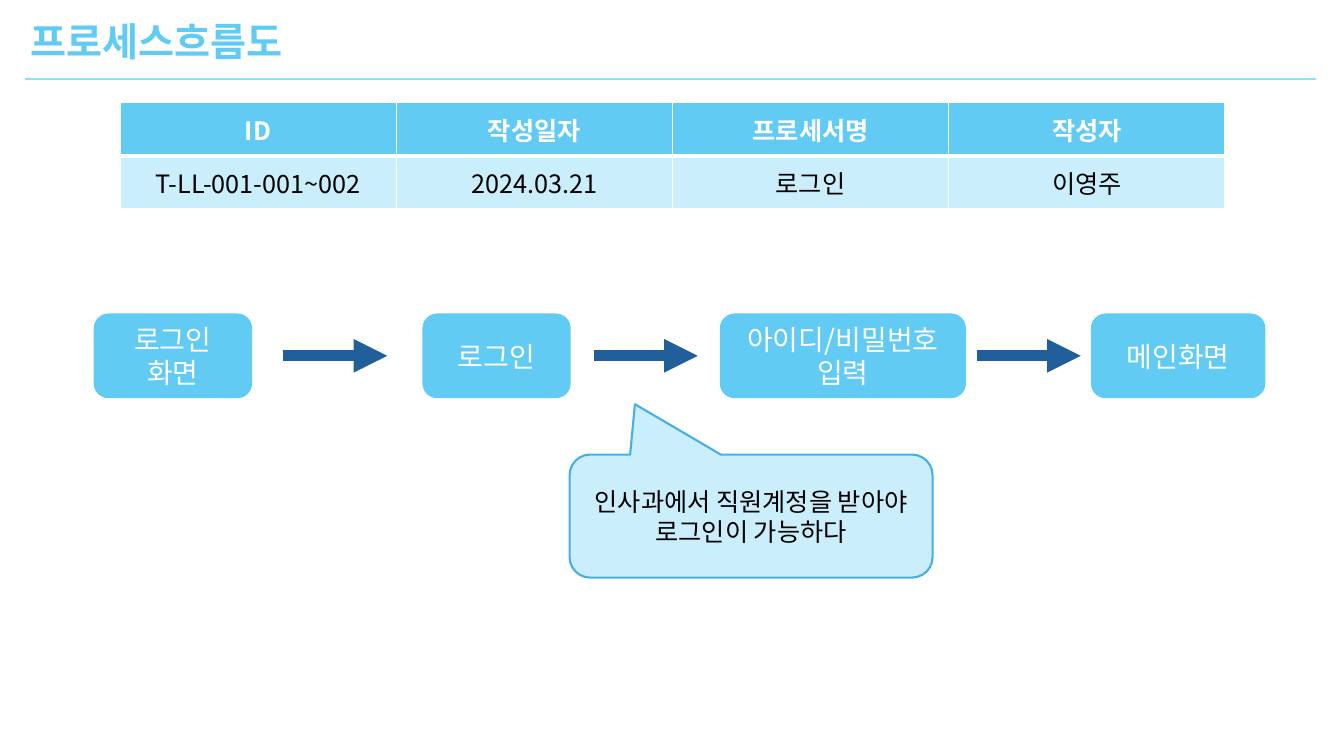
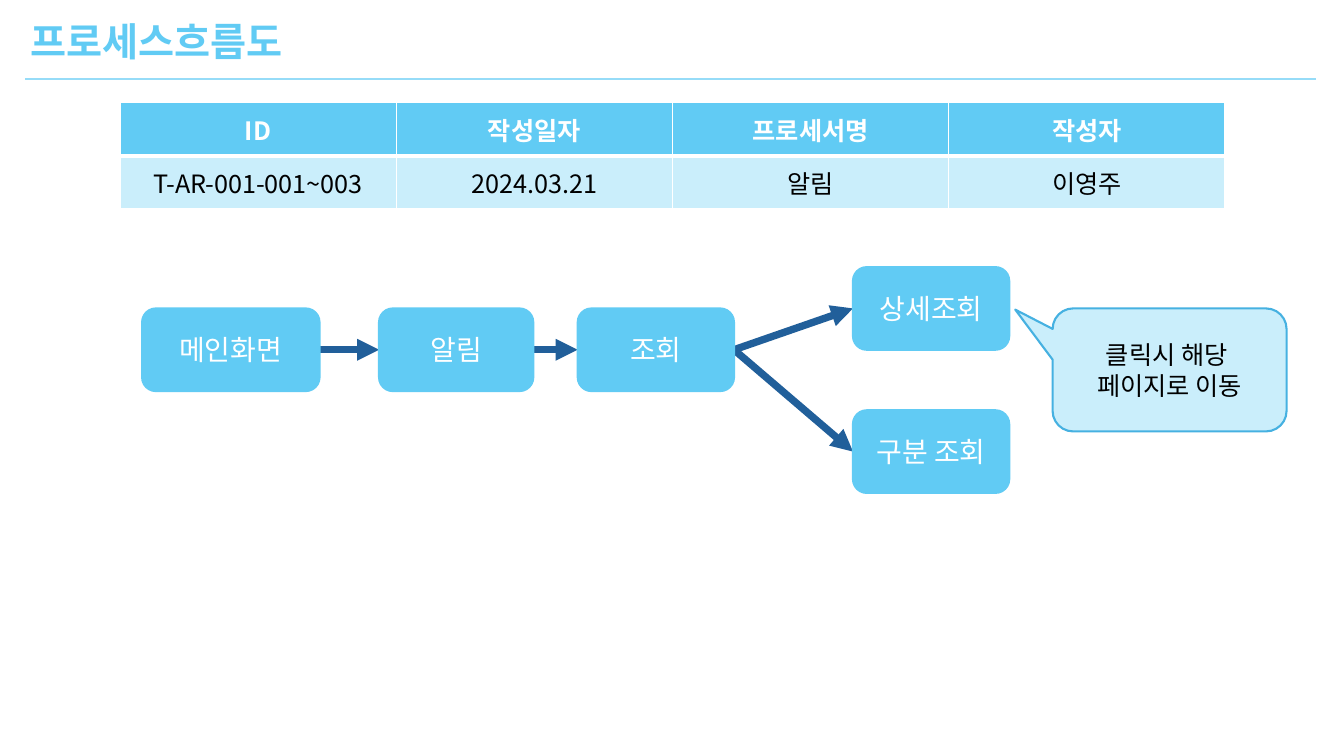
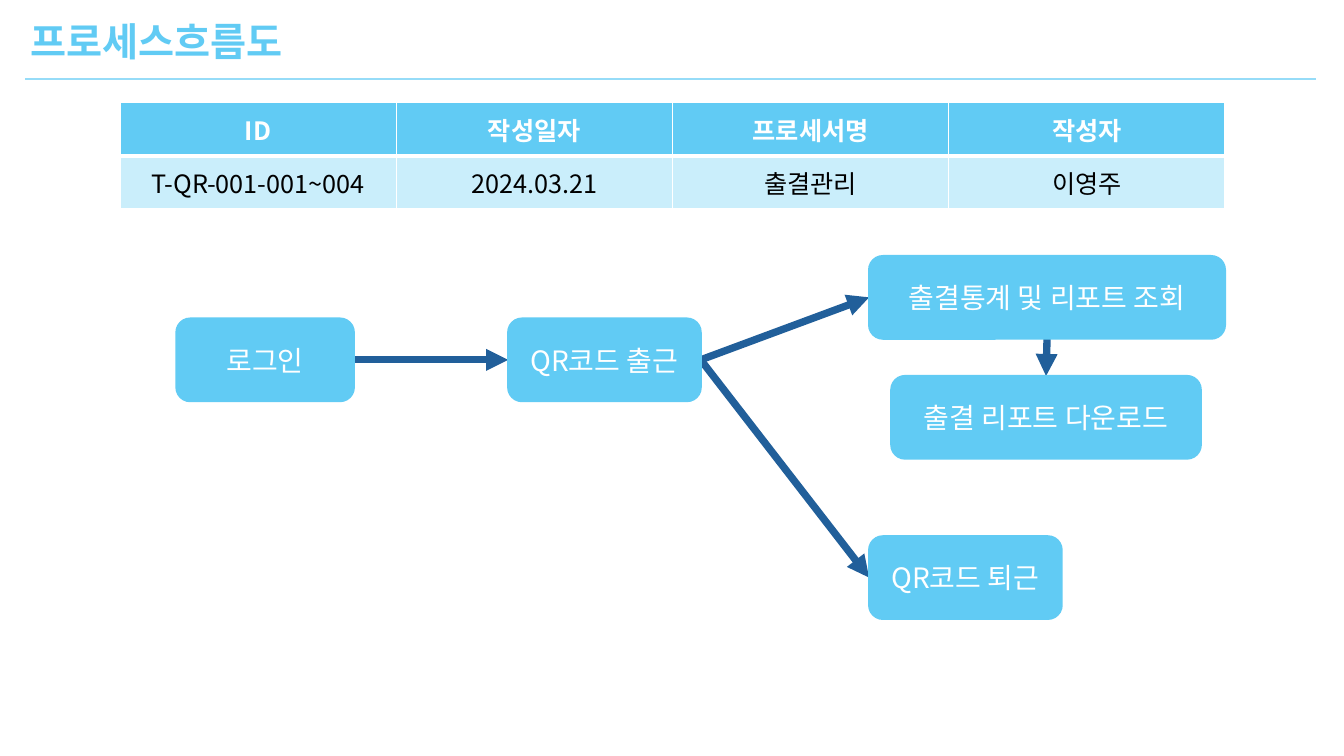
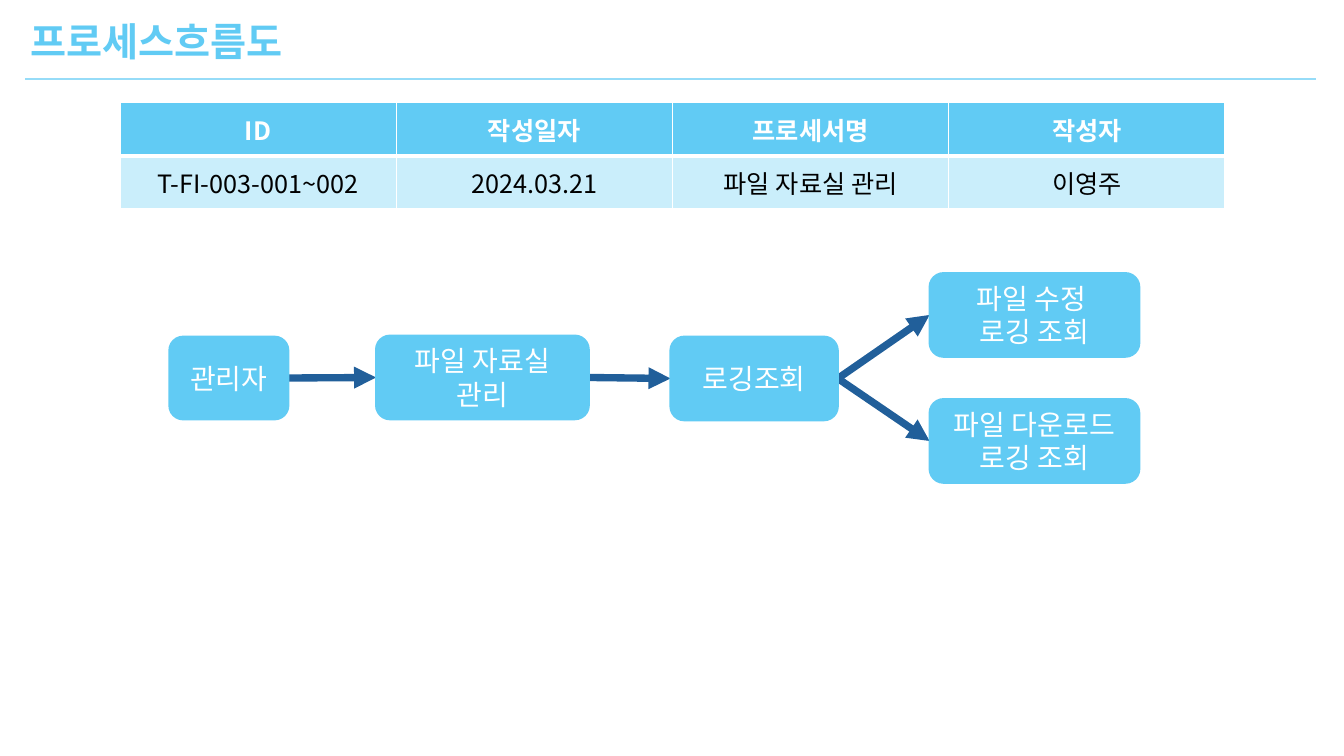
import dataclasses

import lxml.etree
import pptx
import pptx.dml.color
import pptx.enum.shapes
import pptx.enum.text
import pptx.oxml.ns
import pptx.util

EMU_PER_PX = 9144  # 100 px to the inch
FONT = "Noto Sans CJK KR"
COLORS = {
    "sky": "61CBF4",
    "pale": "CAEEFB",
    "rule": "96DCF8",
    "outline": "46B1E1",
    "arrow": "215F9A",
    "white": "FFFFFF",
    "black": "000000",
}
TITLE = "프로세스흐름도"
HEADINGS = ("ID", "작성일자", "프로세서명", "작성자")
WRITTEN_ON, AUTHOR = "2024.03.21", "이영주"
RIGHT_SIDE, LEFT_SIDE, BOTTOM_SIDE, TOP_SIDE = 3, 1, 2, 0
Point = tuple[int, int]


@dataclasses.dataclass(frozen=True)
class Step:
    text: str
    left: int
    top: int
    width: int
    height: int = 82


@dataclasses.dataclass(frozen=True)
class Link:
    """An arrow between two steps, given by their places in the list of steps."""
    source: int
    target: int
    source_side: int = RIGHT_SIDE
    target_side: int = LEFT_SIDE


@dataclasses.dataclass(frozen=True)
class Callout:
    text: str
    left: int
    top: int
    width: int
    tip: tuple[float, float]
    height: int = 122


@dataclasses.dataclass(frozen=True)
class Process:
    code: str
    name: str
    steps: tuple[Step, ...]
    links: tuple[Link, ...] = ()
    free_arrows: tuple[tuple[Point, Point], ...] = ()
    callout: Callout | None = None


PROCESSES = (
    Process(
        "T-LL-001-001~002", "로그인",
        steps=(
            Step("로그인\n화면", 94, 312, 155),
            Step("로그인", 420, 312, 145),
            Step("아이디/비밀번호 입력", 715, 312, 242),
            Step("메인화면", 1083, 312, 171),
        ),
        free_arrows=tuple(((left, 353), (left + 103, 353)) for left in (281, 589, 969)),
        callout=Callout("인사과에서 직원계정을 받아야 로그인이 가능하다", 565, 451, 360, (-0.32, -0.91)),
    ),
    Process(
        "T-AR-001-001~003", "알림",
        steps=(
            Step("메인화면", 141, 306, 176),
            Step("알림", 376, 306, 153),
            Step("조회", 573, 306, 155),
            Step("상세조회", 846, 265, 155),
            Step("구분 조회", 846, 407, 155),
        ),
        links=(Link(0, 1), Link(1, 2), Link(2, 3), Link(2, 4)),
        callout=Callout("클릭시 해당 \n페이지로 이동", 1044, 306, 232, (-0.66, -0.49)),
    ),
    Process(
        "T-QR-001-001~004", "출결관리",
        steps=(
            Step("로그인", 175, 316, 176),
            Step("QR코드 출근", 504, 316, 191),
            Step("출결통계 및 리포트 조회", 862, 254, 353),
            Step("QR코드 퇴근", 862, 532, 191),
            Step("출결 리포트 다운로드", 884, 373, 307),
        ),
        links=(Link(0, 1), Link(1, 2), Link(1, 3), Link(2, 4, BOTTOM_SIDE, TOP_SIDE)),
    ),
    Process(
        "T-FI-003-001~002", "파일 자료실 관리",
        steps=(
            Step("관리자", 168, 334, 118),
            Step("파일 자료실 관리", 373, 333, 211, 83),
            Step("로깅조회", 665, 334, 166, 83),
            Step("파일 수정 \n로깅 조회", 922, 271, 208, 83),
            Step("파일 다운로드 로깅 조회", 922, 396, 208, 83),
        ),
        links=(Link(0, 1), Link(1, 2), Link(2, 3), Link(2, 4)),
    ),
)


def px(length: int) -> pptx.util.Emu:
    return pptx.util.Emu(length * EMU_PER_PX)


def rgb(name: str) -> pptx.dml.color.RGBColor:
    return pptx.dml.color.RGBColor.from_string(COLORS[name])


def add_xml(parent, tag: str, **attributes: str):
    return lxml.etree.SubElement(parent, pptx.oxml.ns.qn(tag), attributes)


def write_text(frame, text: str, *, size: int, color: str, bold: bool = False,
               align=pptx.enum.text.PP_ALIGN.CENTER) -> None:
    """Write one paragraph for each line of the text, centred vertically."""
    frame.vertical_anchor = pptx.enum.text.MSO_ANCHOR.MIDDLE
    for index, line in enumerate(text.split("\n")):
        para = frame.add_paragraph() if index else frame.paragraphs[0]
        para.alignment = align
        span = para.add_run()
        span.text = line
        span.font.size = pptx.util.Pt(size)
        span.font.bold = bold
        span.font.color.rgb = rgb(color)
        span.font.name = FONT
        add_xml(span._r.get_or_add_rPr(), "a:ea", typeface=FONT)


def add_line(slide, start: Point, end: Point, *, color: str, width: float, arrow: bool = False):
    line = slide.shapes.add_connector(
        pptx.enum.shapes.MSO_CONNECTOR.STRAIGHT, *map(px, start + end))
    line.line.color.rgb = rgb(color)
    line.line.width = pptx.util.Pt(width)
    if arrow:
        add_xml(line.line._get_or_add_ln(), "a:tailEnd", type="triangle")
    add_xml(line._element.spPr, "a:effectLst")
    return line


def add_box(slide, kind, item: Step | Callout, *, fill: str, outline: str):
    box = slide.shapes.add_shape(
        kind, px(item.left), px(item.top), px(item.width), px(item.height))
    box.shadow.inherit = False
    box.fill.solid()
    box.fill.fore_color.rgb = rgb(fill)
    box.line.color.rgb = rgb(outline)
    box.line.width = pptx.util.Pt(1.5)
    box.text_frame.word_wrap = True
    return box


def add_step(slide, step: Step):
    box = add_box(slide, pptx.enum.shapes.MSO_SHAPE.ROUNDED_RECTANGLE, step,
                  fill="sky", outline="sky")
    write_text(box.text_frame, step.text, size=20, color="white")
    return box


def add_callout(slide, callout: Callout) -> None:
    box = add_box(slide, pptx.enum.shapes.MSO_SHAPE.ROUNDED_RECTANGULAR_CALLOUT, callout,
                  fill="pale", outline="outline")
    box.adjustments[0], box.adjustments[1] = callout.tip
    write_text(box.text_frame, callout.text, size=18, color="black")


def add_link(slide, link: Link, boxes: list) -> None:
    """Join two boxes with an arrow that lies behind them."""
    arrow = add_line(slide, (0, 0), (0, 0), color="arrow", width=5.25, arrow=True)
    arrow.begin_connect(boxes[link.source], link.source_side)
    arrow.end_connect(boxes[link.target], link.target_side)
    arrow._element.getparent().insert(2, arrow._element)


def set_borders(cell, **widths: int) -> None:
    """Draw white borders; widths in points by side (L, R, T, B)."""
    properties = cell._tc.get_or_add_tcPr()
    for index, (side, width) in enumerate(widths.items()):
        border = lxml.etree.Element(
            pptx.oxml.ns.qn(f"a:ln{side}"), {"w": str(pptx.util.Pt(width))})
        add_xml(add_xml(border, "a:solidFill"), "a:srgbClr", val=COLORS["white"])
        properties.insert(index, border)


def add_summary_table(slide, process: Process) -> None:
    rows = (HEADINGS, (process.code, WRITTEN_ON, process.name, AUTHOR))
    table = slide.shapes.add_table(
        len(rows), len(HEADINGS), px(119), px(102), px(1096), px(105)).table
    table.horz_banding = False
    for row, texts in enumerate(rows):
        header = row == 0
        for column, text in enumerate(texts):
            cell = table.cell(row, column)
            cell.fill.solid()
            cell.fill.fore_color.rgb = rgb("sky" if header else "pale")
            cell.vertical_anchor = pptx.enum.text.MSO_ANCHOR.MIDDLE
            set_borders(cell, L=1, R=1, T=1 if header else 3, B=3 if header else 1)
            write_text(cell.text_frame, text, size=18, bold=header,
                       color="white" if header else "black")


def add_heading(slide) -> None:
    title = slide.shapes.title
    title.left, title.top, title.width, title.height = map(px, (20, 12, 295, 57))
    title.text_frame.word_wrap = False
    title.text_frame.auto_size = pptx.enum.text.MSO_AUTO_SIZE.NONE
    write_text(title.text_frame, TITLE, size=28, color="sky", bold=True,
               align=pptx.enum.text.PP_ALIGN.LEFT)
    add_line(slide, (25, 78), (1305, 78), color="rule", width=1.5)


def add_process_slide(deck, process: Process) -> None:
    slide = deck.slides.add_slide(deck.slide_layouts.get_by_name("Title Only"))
    add_heading(slide)
    add_summary_table(slide, process)
    boxes = [add_step(slide, step) for step in process.steps]
    for link in process.links:
        add_link(slide, link, boxes)
    for start, end in process.free_arrows:
        add_line(slide, start, end, color="arrow", width=8, arrow=True)
    if process.callout:
        add_callout(slide, process.callout)


def main() -> None:
    deck = pptx.Presentation()
    deck.slide_width, deck.slide_height = px(1333), px(750)
    for process in PROCESSES:
        add_process_slide(deck, process)
    deck.save("out.pptx")


if __name__ == "__main__":
    main()
